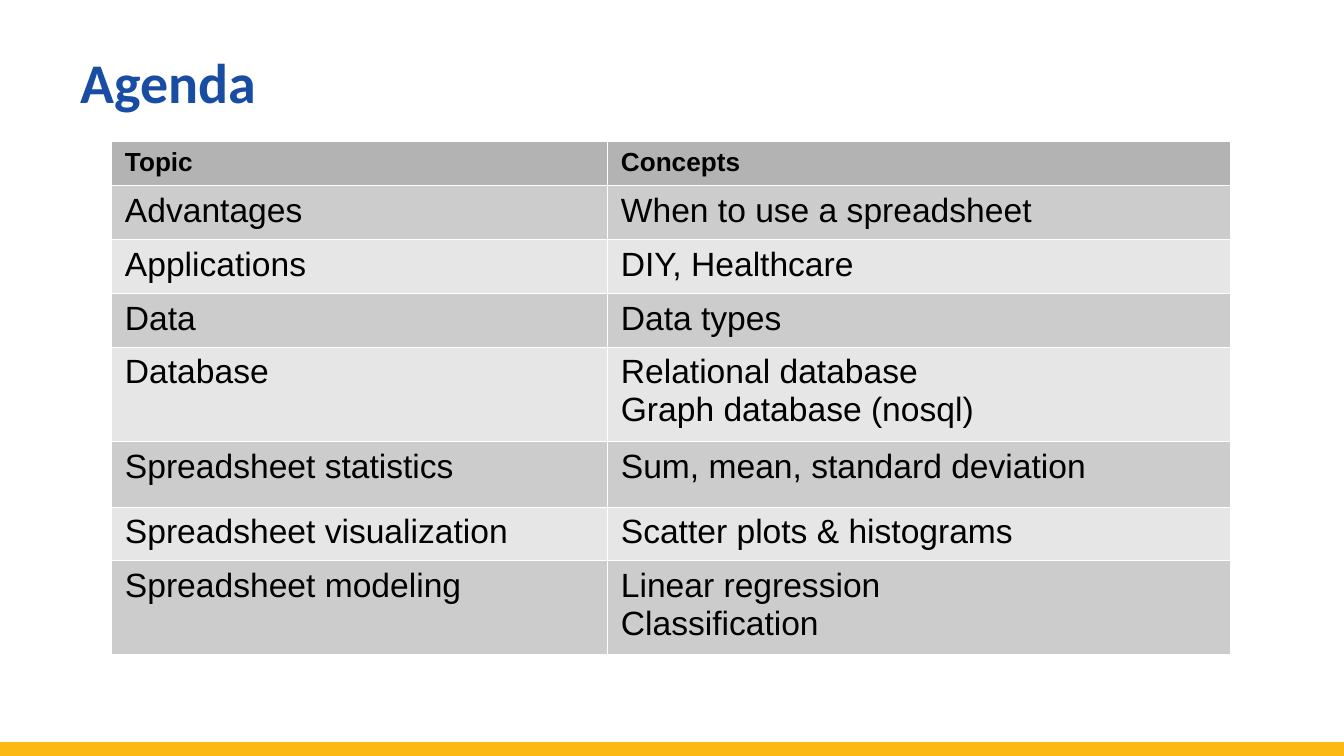
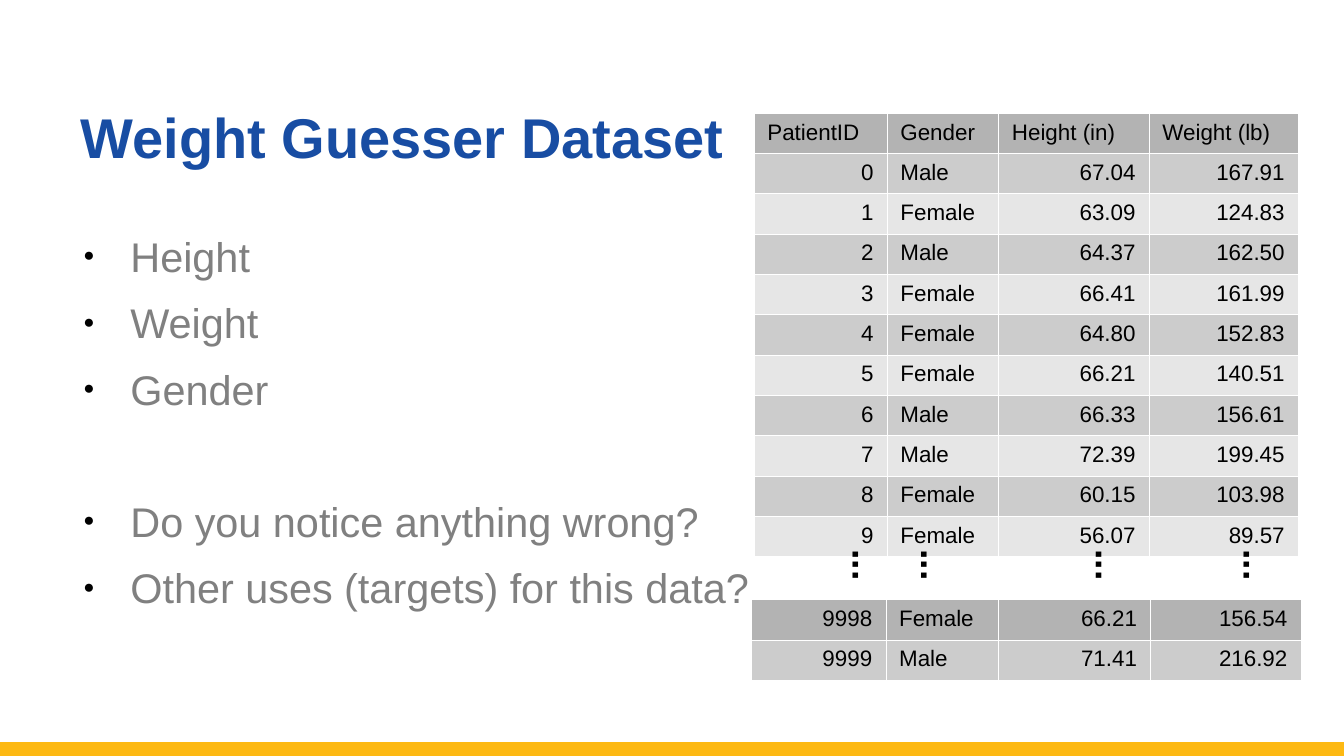
import dataclasses

import lxml.etree
import pptx
import pptx.dml.color
import pptx.enum.shapes
import pptx.enum.text
import pptx.oxml.ns
import pptx.util

Inches = pptx.util.Inches
Pt = pptx.util.Pt
qn = pptx.oxml.ns.qn
ANCHOR = pptx.enum.text.MSO_ANCHOR
ALIGN = pptx.enum.text.PP_ALIGN
AUTO_SIZE = pptx.enum.text.MSO_AUTO_SIZE


@dataclasses.dataclass(frozen=True)
class Theme:
    title: str = "184DA3"
    band: str = "FDB913"
    body: str = "808080"
    ink: str = "000000"
    rule: str = "FFFFFF"
    header_fill: str = "B3B3B3"
    row_fills: tuple = ("E6E6E6", "CCCCCC")
    font: str = "Arial"
    title_size: float = 30
    body_size: float = 22.2
    agenda_size: float = 18
    agenda_header_size: float = 14
    data_size: float = 12
    dots_size: float = 20


THEME = Theme()


def add_run(paragraph, text, size, color, bold=False, font=THEME.font):
    run = paragraph.add_run()
    run.text = text
    run.font.name = font
    run.font.size = Pt(size)
    run.font.bold = bold
    run.font.color.rgb = pptx.dml.color.RGBColor.from_string(color)


def add_grid(slide, rows, left, top, widths, heights, size, header_size, header_bold=False):
    table = slide.shapes.add_table(
        len(rows), len(widths), Inches(left), Inches(top),
        Inches(sum(widths)), Inches(sum(heights))).table
    table.horz_banding = False
    for column, width in zip(table.columns, widths):
        column.width = Inches(width)
    for r, (values, height) in enumerate(zip(rows, heights)):
        table.rows[r].height = Inches(height)
        for c, value in enumerate(values):
            cell = table.cell(r, c)
            # Hairline borders come before the fill in the cell properties
            properties = cell._tc.get_or_add_tcPr()
            for side in ("a:lnL", "a:lnR", "a:lnT", "a:lnB"):
                border = lxml.etree.SubElement(properties, qn(side), w=str(Pt(0.06)))
                solid = lxml.etree.SubElement(border, qn("a:solidFill"))
                lxml.etree.SubElement(solid, qn("a:srgbClr"), val=THEME.rule)
            cell.fill.solid()
            cell.fill.fore_color.rgb = pptx.dml.color.RGBColor.from_string(
                THEME.row_fills[r % 2] if r else THEME.header_fill)
            for i, line in enumerate(value.split("\n")):
                frame = cell.text_frame
                paragraph = frame.add_paragraph() if i else frame.paragraphs[0]
                if line[0].isdigit():
                    paragraph.alignment = ALIGN.RIGHT
                add_run(paragraph, line, size if r else header_size,
                        THEME.ink, header_bold and r == 0)


# A 16:9 page
prs = pptx.Presentation()
prs.slide_width = Inches(10)
prs.slide_height = prs.slide_width * 9 // 16
agenda = prs.slides.add_slide(prs.slide_layouts[5])
dataset = prs.slides.add_slide(prs.slide_layouts[1])

# Bottom band, held by the slide master
band = agenda.shapes.add_connector(
    pptx.enum.shapes.MSO_CONNECTOR.STRAIGHT,
    Inches(0), Inches(5.58), Inches(10), Inches(5.58))
band.line.color.rgb = pptx.dml.color.RGBColor.from_string(THEME.band)
band.line.width = Pt(8)
lxml.etree.SubElement(band.element.spPr, qn("a:effectLst"))
prs.slide_master.shapes.element.append(band.element)

# Titles
for slide, text, font, anchor in (
        (agenda, "Agenda", "Calibri", ANCHOR.TOP),
        (dataset, "Weight Guesser Dataset", THEME.font, ANCHOR.BOTTOM)):
    title = slide.shapes.title
    title.left, title.top, title.width, title.height = map(Inches, (0.5, 0, 9, 1.31))
    title.text_frame.auto_size = AUTO_SIZE.NONE
    title.text_frame.vertical_anchor = anchor
    heading = title.text_frame.paragraphs[0]
    heading.alignment = ALIGN.LEFT
    heading.line_spacing = Pt(58)
    add_run(heading, text, THEME.title_size, THEME.title, True, font)

# Slide 1: agenda table
topics = [
    ("Topic", "Concepts"),
    ("Advantages", "When to use a spreadsheet"),
    ("Applications", "DIY, Healthcare"),
    ("Data", "Data types"),
    ("Database", "Relational database\nGraph database (nosql)"),
    ("Spreadsheet statistics", "Sum, mean, standard deviation"),
    ("Spreadsheet visualization", "Scatter plots & histograms"),
    ("Spreadsheet modeling", "Linear regression\nClassification"),
]
add_grid(agenda, topics, 0.83, 1.05, (3.69, 4.63),
         (0.33, 0.4, 0.4, 0.4, 0.7, 0.49, 0.4, 0.7),
         THEME.agenda_size, THEME.agenda_header_size, header_bold=True)

# Slide 2: variables and questions, with a wider gap between the two groups
points = dataset.placeholders[1]
points.left, points.top, points.width, points.height = map(Inches, (0.5, 1.32, 9, 3.26))
points_frame = points.text_frame
points_frame.auto_size = AUTO_SIZE.NONE
points_frame.vertical_anchor = ANCHOR.TOP
points_frame.margin_left = points_frame.margin_right = points_frame.margin_bottom = 0
points_frame.margin_top = Inches(0.47)
for i, (text, space_before) in enumerate((
        ("Height", 0), ("Weight", 14.2), ("Gender", 14.2),
        ("Do you notice anything wrong?", 49.6),
        ("Other uses (targets) for this data?", 14.2))):
    point = points_frame.add_paragraph() if i else points_frame.paragraphs[0]
    properties = point._p.get_or_add_pPr()
    properties.set("marL", str(Inches(0.47)))
    properties.set("indent", str(Inches(-0.35)))
    bullet_color = lxml.etree.SubElement(properties, qn("a:buClr"))
    lxml.etree.SubElement(bullet_color, qn("a:srgbClr"), val=THEME.ink)
    lxml.etree.SubElement(properties, qn("a:buSzPct"), val="45000")
    lxml.etree.SubElement(properties, qn("a:buFont"), typeface=THEME.font)
    lxml.etree.SubElement(properties, qn("a:buChar"), char="●")
    point.line_spacing = 0.8
    point.space_before = Pt(space_before)
    add_run(point, text, THEME.body_size, THEME.body)

# First and last patients
first_patients = [
    ("PatientID", "Gender", "Height (in)", "Weight (lb)"),
    ("0", "Male", "67.04", "167.91"),
    ("1", "Female", "63.09", "124.83"),
    ("2", "Male", "64.37", "162.50"),
    ("3", "Female", "66.41", "161.99"),
    ("4", "Female", "64.80", "152.83"),
    ("5", "Female", "66.21", "140.51"),
    ("6", "Male", "66.33", "156.61"),
    ("7", "Male", "72.39", "199.45"),
    ("8", "Female", "60.15", "103.98"),
    ("9", "Female", "56.07", "89.57"),
]
last_patients = [
    ("9998", "Female", "66.21", "156.54"),
    ("9999", "Male", "71.41", "216.92"),
]
for patients, left, top, widths in (
        (first_patients, 5.61, 0.84, (0.99, 0.83, 1.12, 1.11)),
        (last_patients, 5.59, 4.46, (1, 0.84, 1.13, 1.12))):
    add_grid(dataset, patients, left, top, widths, [0.3] * len(patients),
             THEME.data_size, THEME.data_size)

# Vertical dots for the patients left out
for left in (6.25, 6.76, 8.06, 9.16):
    dots = dataset.shapes.add_textbox(Inches(left), Inches(4), Inches(0.43), Inches(0.41))
    dots.rotation = 90.2
    dots.text_frame.word_wrap = False
    dots.text_frame.auto_size = AUTO_SIZE.SHAPE_TO_FIT_TEXT
    add_run(dots.text_frame.paragraphs[0], "...", THEME.dots_size, THEME.ink, True)

prs.save("out.pptx")
